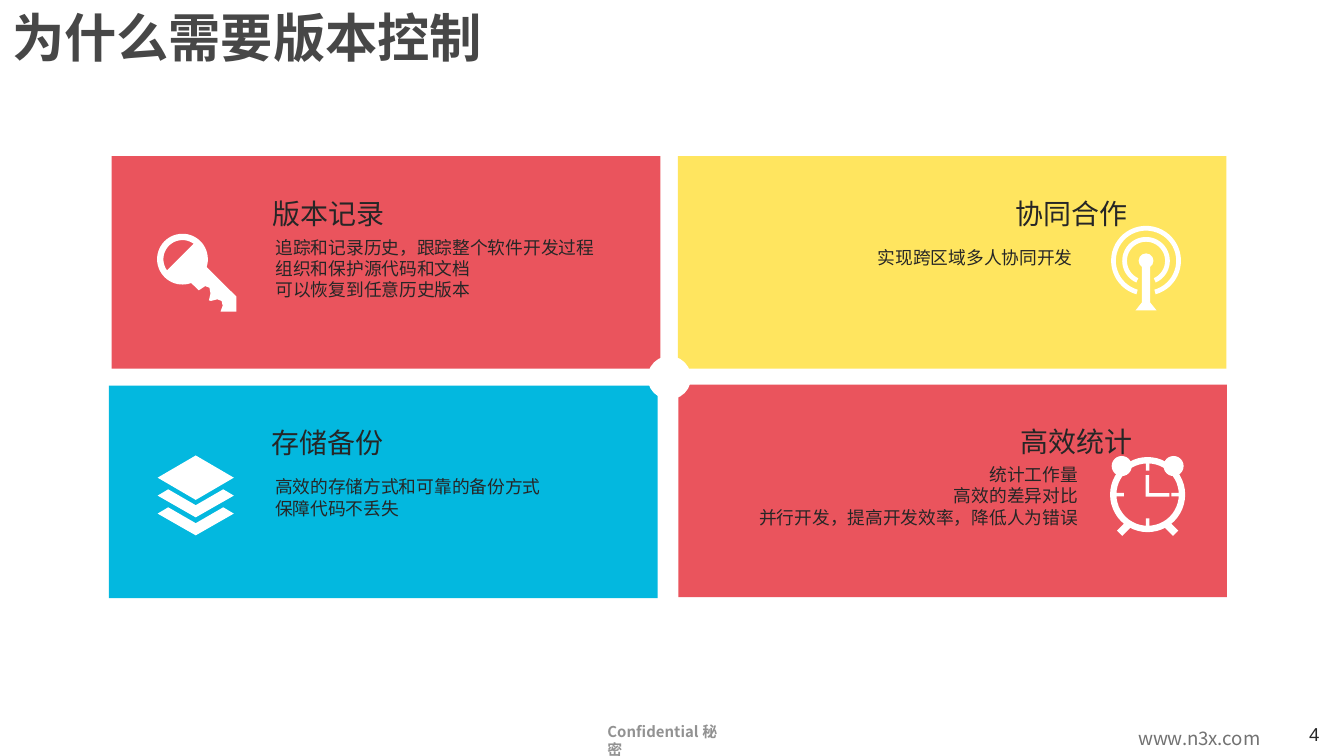
"""Build the slide on why version control is needed: four cards with icons."""
import math

import lxml.etree
import pptx
import pptx.dml.color
import pptx.enum.shapes
import pptx.enum.text
import pptx.oxml.ns
import pptx.util

Cm = pptx.util.Cm
Pt = pptx.util.Pt
PP_ALIGN = pptx.enum.text.PP_ALIGN
MIDDLE = pptx.enum.text.MSO_ANCHOR.MIDDLE
MSO_SHAPE = pptx.enum.shapes.MSO_SHAPE
CJK = "Noto Sans CJK SC"
WHITE, INK = "FFFFFF", "262626"

deck = pptx.Presentation()
deck.slide_width, deck.slide_height = Cm(25.4), Cm(14.29)
slide = deck.slides.add_slide(deck.slide_layouts[5])
shapes = slide.shapes


def paint(shape, color):
    shape.shadow.inherit = False
    shape.fill.solid()
    shape.fill.fore_color.rgb = pptx.dml.color.RGBColor.from_string(color)
    shape.line.fill.background()


def write(box, text, size, color, font=CJK, bold=False, wrap=False,
          align=PP_ALIGN.LEFT, spacing=1, margins=(0.25, 0.13)):
    frame = box.text_frame
    frame.text = text
    frame.word_wrap = wrap
    frame.margin_left = frame.margin_right = Cm(margins[0])
    frame.margin_top = frame.margin_bottom = Cm(margins[1])
    for paragraph in frame.paragraphs:
        paragraph.alignment = align
        paragraph.line_spacing = spacing
        for run in paragraph.runs:
            run.font.size = Pt(size)
            run.font.bold = bold
            run.font.name = font
            run.font.color.rgb = pptx.dml.color.RGBColor.from_string(color)
            east_asian = lxml.etree.SubElement(run.font._element, pptx.oxml.ns.qn("a:ea"))
            east_asian.set("typeface", CJK)


title = shapes.title
title.left, title.top, title.width, title.height = Cm(0.05), Cm(0.05), Cm(13.69), Cm(1.27)
write(title, "为什么需要版本控制", 28, "474747", bold=True, wrap=True, margins=(0.18, 0.1))
title.text_frame.vertical_anchor = MIDDLE

footers = [
    (11.23, 13.69, 2.75, 0.61, "Confidential 秘密", 8, "929292", CJK, True, True),
    (21.26, 13.61, 2.87, 0.69, "www.n3x.com", 10, "727272", CJK, False, False),
    (24.49, 13.54, 0.94, 0.69, "4", 10, INK, "Arial", False, False),
]
for left, top, width, height, text, size, color, font, bold, wrap in footers:
    footer = shapes.add_textbox(Cm(left), Cm(top), Cm(width), Cm(height))
    write(footer, text, size, color, font, bold, wrap)
    footer.text_frame.vertical_anchor = MIDDLE

cards = [
    (2.11, 2.95, "EA545D", "版本记录", 4.9, 3.58,
     "追踪和记录历史，跟踪整个软件开发过程\n组织和保护源代码和文档\n可以恢复到任意历史版本", 5.08, 4.39, PP_ALIGN.LEFT, 1),
    (2.06, 7.29, "03B8DF", "存储备份", 4.88, 7.92,
     "高效的存储方式和可靠的备份方式\n保障代码不丢失", 5.07, 8.92, PP_ALIGN.LEFT, 1),
    (12.81, 2.95, "FFE55F", "协同合作", 18.95, 3.58,
     "实现跨区域多人协同开发", 13.21, 4.39, PP_ALIGN.RIGHT, 1.5),
    (12.82, 7.27, "EA545D", "高效统计", 19.03, 7.9,
     "统计工作量\n高效的差异对比\n并行开发，提高开发效率，降低人为错误", 13.31, 8.69, PP_ALIGN.RIGHT, 1),
]
for left, top, color, heading, head_x, head_y, points, body_x, body_y, align, spacing in cards:
    card = shapes.add_shape(MSO_SHAPE.RECTANGLE, Cm(left), Cm(top), Cm(10.37), Cm(4.02))
    paint(card, color)
    heading_box = shapes.add_textbox(Cm(head_x), Cm(head_y), Cm(2.64), Cm(0.89))
    write(heading_box, heading, 15, INK, "Arial")
    body_width = 7.01 if align == PP_ALIGN.LEFT else 7.19
    body = shapes.add_textbox(Cm(body_x), Cm(body_y), Cm(body_width), Cm(1.35))
    write(body, points, 9.5, INK, wrap=True, align=align, spacing=spacing, margins=(0.13, 0.08))

arcs = {}
for part, x, y, radius, start, end in [
    ("key head", 3.45, 4.9, 0.48, 70, 378),
    ("key hole", 3.45, 4.9, 0.36, 144, 306),
    ("outer wave", 21.66, 4.93, 0.66, 106, 434),
    ("outer wave inside", 21.66, 4.93, 0.57, 434, 106),
    ("inner wave", 21.66, 4.93, 0.45, 114, 426),
    ("inner wave inside", 21.66, 4.93, 0.36, 426, 114),
    ("dial", 21.69, 9.35, 0.71, 0, 360),
    ("dial inside", 21.69, 9.35, 0.59, 360, 0),
]:
    angles = [math.radians(start + (end - start) * step / 48) for step in range(49)]
    arcs[part] = [(x + radius * math.cos(a), y + radius * math.sin(a)) for a in angles]

key_shaft = [(4.47, 5.61), (4.47, 5.89), (4.17, 5.89), (4.21, 5.78), (4.19, 5.69), (4.11, 5.66),
             (3.99, 5.69), (3.95, 5.68), (3.98, 5.55), (3.96, 5.44), (3.88, 5.41), (3.76, 5.49)]
chevron = [(3.7, 9.55), (3.18, 9.25), (2.98, 9.37), (3.7, 9.78), (4.42, 9.37), (4.22, 9.25)]
outlines = [
    [arcs["key head"] + key_shaft, arcs["key hole"]],
    [[(3.7, 8.61), (4.42, 9.03), (3.7, 9.45), (2.98, 9.03)]],
    [chevron],
    [[(x, y + 0.34) for x, y in chevron]],
    [arcs["outer wave"] + arcs["outer wave inside"]],
    [arcs["inner wave"] + arcs["inner wave inside"]],
    [[(21.58, 4.93), (21.74, 4.93), (21.74, 5.72), (21.86, 5.87), (21.46, 5.87), (21.58, 5.72)]],
    [arcs["dial"], arcs["dial inside"]],
    [[(21.65, 8.98), (21.72, 8.98), (21.72, 9.32), (22.1, 9.32), (22.1, 9.39), (21.65, 9.39)]],
]
for side in (-1, 1):
    leg = [(0.43, 0.53), (0.58, 0.68), (0.48, 0.78), (0.32, 0.62)]
    outlines.append([[(21.69 + side * x, 9.35 + y) for x, y in leg]])
for contours in outlines:
    builder = None
    for contour in contours:
        corners = [(Cm(x), Cm(y)) for x, y in contour]
        if builder is None:
            builder = shapes.build_freeform(*corners[0])
        else:
            builder.move_to(*corners[0])
        builder.add_line_segments(corners[1:], close=True)
    paint(builder.convert_to_shape(), WHITE)

discs = [(21.66, 4.93, 0.14), (21.2, 8.81, 0.19), (22.18, 8.81, 0.19), (12.65, 7.14, 0.41)]
for x, y, radius in discs:
    disc = shapes.add_shape(MSO_SHAPE.OVAL, Cm(x - radius), Cm(y - radius), Cm(2 * radius), Cm(2 * radius))
    paint(disc, WHITE)

for across, down in [(0, -1), (1, 0), (0, 1), (-1, 0)]:
    width, height = 0.07 + 0.09 * abs(across), 0.07 + 0.09 * abs(down)
    tick = shapes.add_shape(MSO_SHAPE.RECTANGLE, Cm(21.69 + 0.53 * across - width / 2),
                            Cm(9.35 + 0.53 * down - height / 2), Cm(width), Cm(height))
    paint(tick, WHITE)

deck.save("out.pptx")
